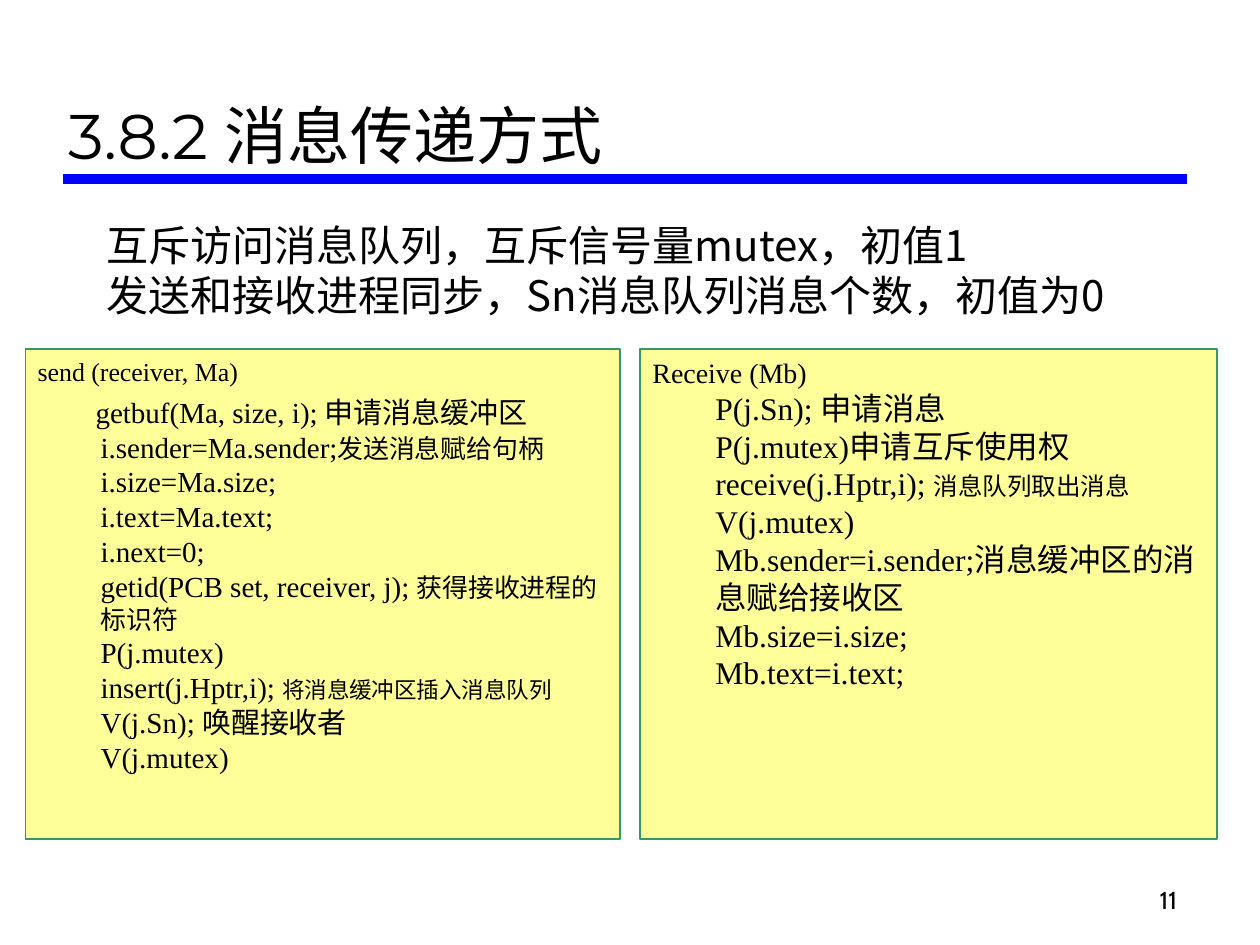
from lxml.etree import SubElement
from pptx import Presentation
from pptx.dml.color import RGBColor
from pptx.enum.shapes import MSO_CONNECTOR as Connector, MSO_SHAPE as Shape
from pptx.enum.text import MSO_ANCHOR as Anchor, MSO_AUTO_SIZE as AutoSize, PP_ALIGN as Align
from pptx.oxml.ns import qn
from pptx.util import Inches, Pt

SERIF = "Times New Roman"
CHINESE = "Noto Sans CJK SC"

SEND = [
    [("i.sender=Ma.sender;", 16.6), ("发送消息赋给句柄", 14.8)],
    [("i.size=Ma.size;", 16.6)],
    [("i.text=Ma.text;", 16.6)],
    [("i.next=0;", 16.6)],
    [("getid(PCB set, receiver, j); ", 16.6), ("获得接收进程的标识符", 14.8)],
    [("P(j.mutex)", 16.6)],
    [("insert(j.Hptr,i); ", 16.6), ("将消息缓冲区插入消息队列", 12.9)],
    [("V(j.Sn); 唤醒接收者", 16.6)],
    [("V(j.mutex)", 16.6)],
]
RECEIVE = [
    [("P(j.Sn); 申请消息", 18)],
    [("P(j.mutex)申请互斥使用权", 18)],
    [("receive(j.Hptr,i); ", 18), ("消息队列取出消息", 14)],
    [("V(j.mutex)", 18)],
    [("Mb.sender=i.sender;消息缓冲区的消息赋给接收区", 18)],
    [("Mb.size=i.size;", 18)],
    [("Mb.text=i.text;", 18)],
]


def color(value):
    return RGBColor.from_string(value)


def add_para(frame, spans, font=SERIF, align=Align.LEFT, indent=0, before=0):
    first = frame.paragraphs[0]
    para = frame.add_paragraph() if first.runs else first
    para.alignment = align
    para.space_before = Pt(before)
    properties = para._p.get_or_add_pPr()
    properties.set("marL", str(Inches(indent)))
    properties.set("indent", "0")
    for text, size in spans:
        span = para.add_run()
        span.text = text
        span.font.size = Pt(size)
        span.font.color.rgb = color("000000")
        span.font.name = font
        SubElement(span._r.get_or_add_rPr(), qn("a:ea"), typeface=CHINESE)


def add_title(page, text):
    title = page.shapes.title
    title.left, title.top = Inches(0.44), Inches(0.17)
    title.width, title.height = Inches(8.97), Inches(1.25)
    frame = title.text_frame
    frame.vertical_anchor = Anchor.BOTTOM
    frame.auto_size = AutoSize.NONE
    add_para(frame, [(text, 36)], font="Montserrat")


def add_rule(page):
    y = Inches(1.42)
    rule = page.shapes.add_connector(Connector.STRAIGHT, Inches(0.5), y, Inches(9.42), y)
    rule.line.color.rgb = color("0000FF")
    rule.line.width = Pt(6)
    SubElement(rule._element.spPr, qn("a:effectLst"))


def add_text(page, left, top, width, height, lines, size, wrap=True, anchor=Anchor.TOP, **style):
    box = page.shapes.add_textbox(Inches(left), Inches(top), Inches(width), Inches(height))
    frame = box.text_frame
    frame.word_wrap = wrap
    frame.vertical_anchor = anchor
    for line in lines:
        add_para(frame, [(line, size)], **style)


def add_panel(page, left, width, heading, size):
    panel = page.shapes.add_shape(
        Shape.RECTANGLE, Inches(left), Inches(2.77), Inches(width), Inches(3.89))
    panel.shadow.inherit = False
    panel.fill.solid()
    panel.fill.fore_color.rgb = color("FFFF99")
    panel.line.color.rgb = color("339966")
    panel.line.width = Pt(0.75)
    frame = panel.text_frame
    frame.word_wrap = True
    frame.vertical_anchor = Anchor.TOP
    add_para(frame, [(heading, size)])
    return frame


def add_code(frame, lines):
    for spans in lines:
        add_para(frame, spans, indent=0.5)


def main():
    deck = Presentation()
    deck.slide_width, deck.slide_height = Inches(10), Inches(7.5)
    page = deck.slides.add_slide(deck.slide_layouts[5])

    add_rule(page)
    add_title(page, "3.8.2 消息传递方式")
    add_text(page, 0.25, 1.69, 8.87, 0.9,
             ["互斥访问消息队列，互斥信号量mutex，初值1",
              "发送和接收进程同步，Sn消息队列消息个数，初值为0"],
             24, wrap=False, font=CHINESE, indent=0.5)

    send = add_panel(page, 0.2, 4.72, "send (receiver, Ma)", 14.8)
    add_para(send, [("getbuf(Ma, size, i); 申请消息缓冲区", 16.6)], indent=0.46, before=4.5)
    add_code(send, SEND)
    receive = add_panel(page, 5.08, 4.58, "Receive (Mb)", 16)
    add_code(receive, RECEIVE)

    add_text(page, 7.36, 6.81, 2.08, 0.5, ["11"], 14,
             anchor=Anchor.BOTTOM, font="Cabin", align=Align.RIGHT)
    deck.save("out.pptx")


if __name__ == "__main__":
    main()
